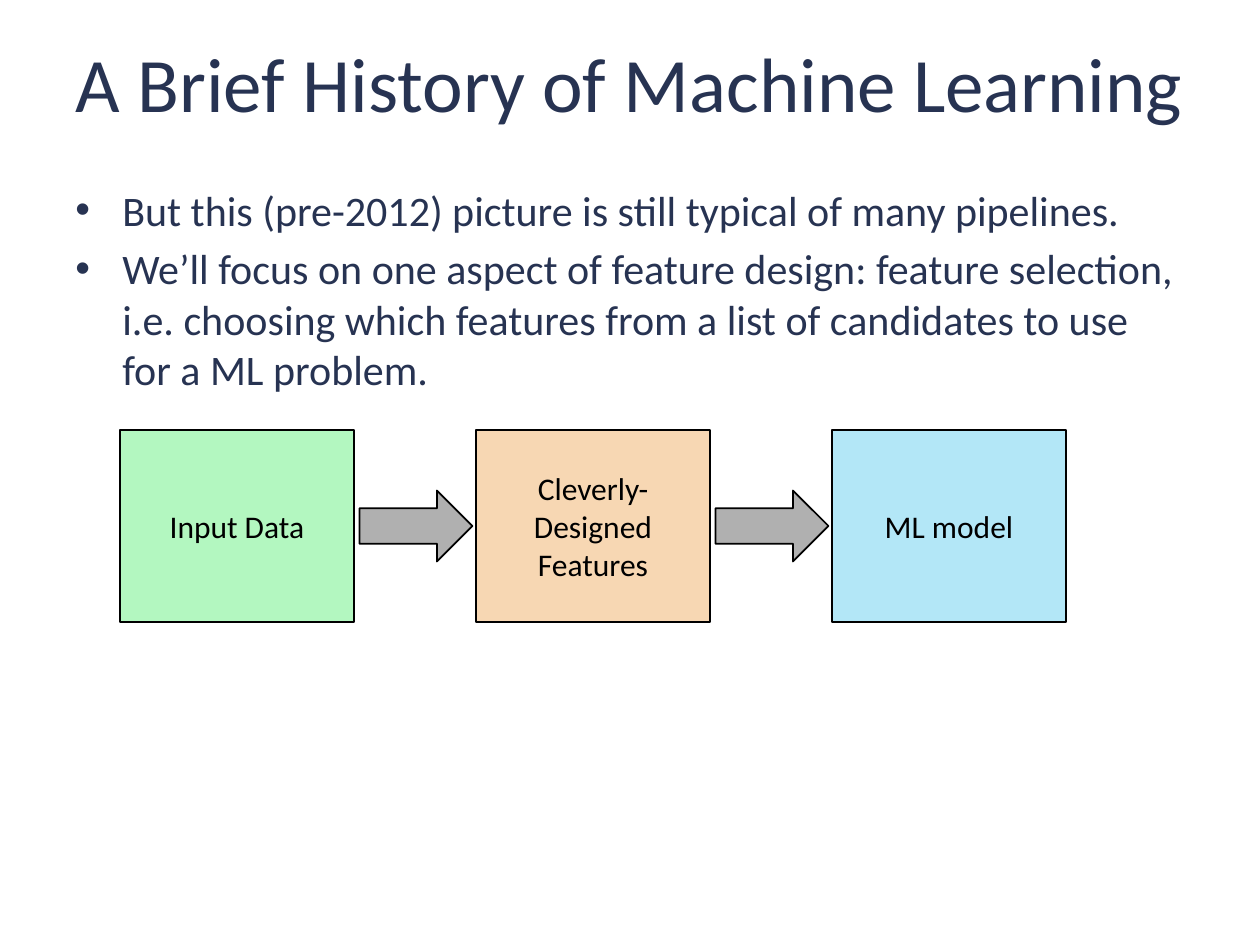
from lxml import etree
from pptx import Presentation
from pptx.dml import color as dml
from pptx.enum import shapes, text
from pptx.oxml import ns
from pptx.util import Pt

SCALE = 914400 / 126
FONT = "Calibri"
COLORS = {
    "navy": "273352",
    "black": "000000",
    "green": "B3F7C0",
    "orange": "F7D7B3",
    "blue": "B3E7F7",
    "gray": "B0B0B0",
}


def px(length):
    return round(length * SCALE)


def rgb(name):
    return dml.RGBColor.from_string(COLORS[name])


def write_text(shape, paragraphs, size, color="black", align=text.PP_ALIGN.CENTER,
               anchor=text.MSO_ANCHOR.MIDDLE, before=0, bullet_indent=0):
    frame = shape.text_frame
    frame.word_wrap = True
    frame.vertical_anchor = anchor
    for index, content in enumerate(paragraphs):
        paragraph = frame.add_paragraph() if index else frame.paragraphs[0]
        paragraph.text = content
        paragraph.alignment = align
        paragraph.space_before = Pt(before)
        for run in paragraph.runs:
            run.font.name = FONT
            run.font.size = Pt(size)
            run.font.color.rgb = rgb(color)
        if bullet_indent:
            properties = paragraph._p.get_or_add_pPr()
            properties.set("marL", str(px(bullet_indent)))
            properties.set("indent", str(-px(bullet_indent)))
            etree.SubElement(properties, ns.qn("a:buFont")).set("typeface", "Arial")
            etree.SubElement(properties, ns.qn("a:buChar")).set("char", "•")


def add_block(slide, kind, left, top, width, height, fill):
    shape = slide.shapes.add_shape(kind, px(left), px(top), px(width), px(height))
    shape.shadow.inherit = False
    shape.fill.solid()
    shape.fill.fore_color.rgb = rgb(fill)
    shape.line.color.rgb = rgb("black")
    shape.line.width = Pt(1)
    return shape


def add_title(slide, left, top, width, height):
    title = slide.shapes.add_textbox(px(left), px(top), px(width), px(height))
    write_text(title, ["A Brief History of Machine Learning"], 44, "navy")


def add_bullets(slide, left, top, width, height):
    body = slide.shapes.add_textbox(px(left), px(top), px(width), px(height))
    write_text(body, [
        "But this (pre-2012) picture is still typical of many pipelines.",
        "We’ll focus on one aspect of feature design: feature selection, "
        "i.e. choosing which features from a list of candidates to use for a ML problem.",
    ], 24, "navy", align=text.PP_ALIGN.LEFT, anchor=text.MSO_ANCHOR.TOP,
        before=4.8, bullet_indent=47)


def add_pipeline(slide, left, top, width, height):
    stages = [
        ("Input Data", "green"),
        ("Cleverly-Designed\vFeatures", "orange"),
        ("ML model", "blue"),
    ]
    box_width, arrow_width, arrow_height = 234, 113, 71
    gap = (width - len(stages) * box_width) / (len(stages) - 1)
    for index, (label, fill) in enumerate(stages):
        box_left = left + index * (box_width + gap)
        box = add_block(slide, shapes.MSO_SHAPE.RECTANGLE,
                        box_left, top, box_width, height, fill)
        write_text(box, [label], 18)
        if index < len(stages) - 1:
            add_block(slide, shapes.MSO_SHAPE.RIGHT_ARROW,
                      box_left + box_width + (gap - arrow_width) / 2 + 1,
                      top + (height - arrow_height) / 2,
                      arrow_width, arrow_height, "gray")


def main():
    presentation = Presentation()
    presentation.slide_width = px(1260)
    presentation.slide_height = px(945)
    slide = presentation.slides.add_slide(presentation.slide_layouts[6])
    add_title(slide, 53, 15, 1154, 134)
    add_bullets(slide, 63, 178, 1134, 674)
    add_pipeline(slide, 120, 430, 946, 192)
    presentation.save("out.pptx")


if __name__ == "__main__":
    main()
